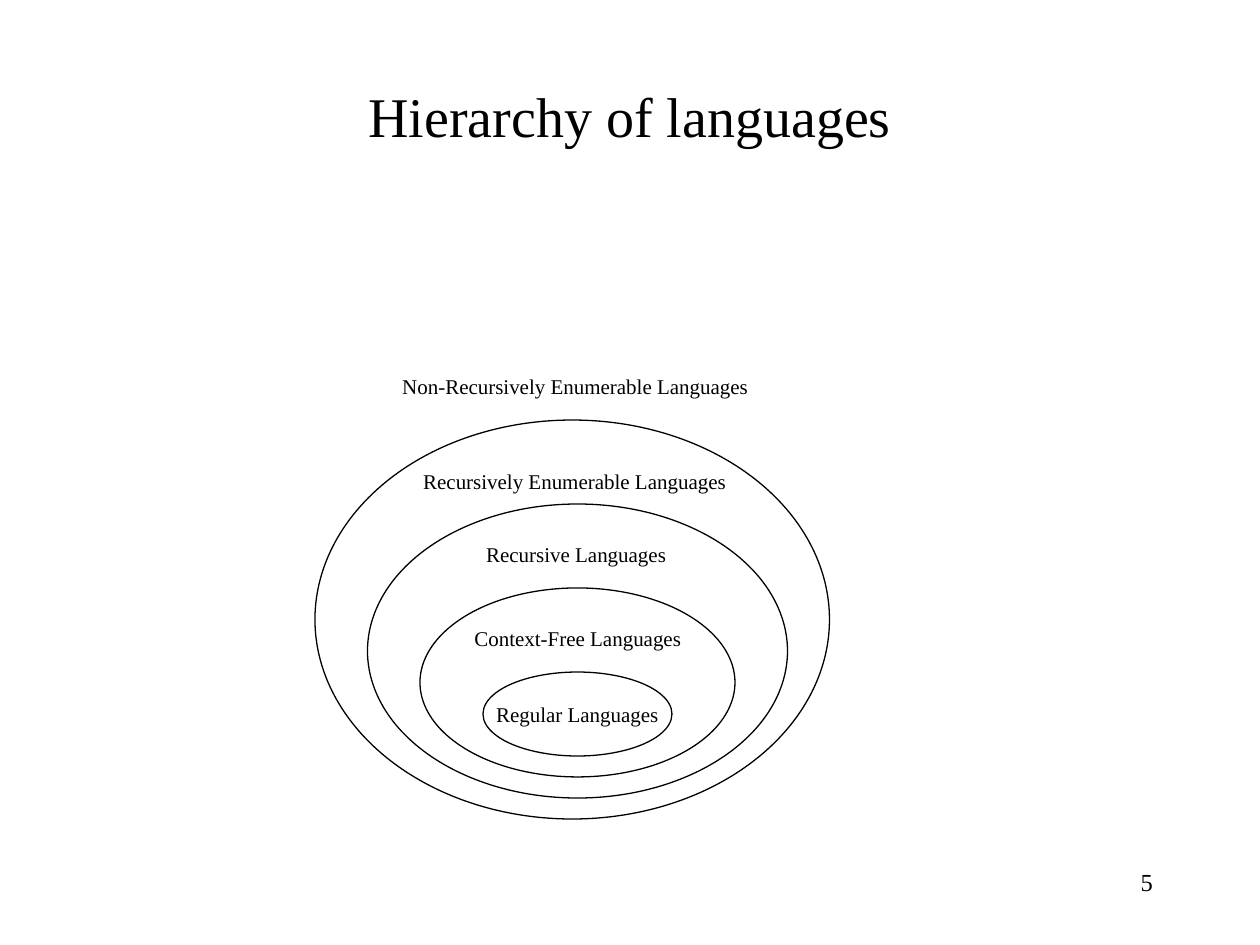
import pptx
import pptx.dml.color
import pptx.enum.shapes
import pptx.enum.text
import pptx.util

PX = 9525  # EMU per px, 96 px to the inch
COLORS = {"ink": "000000", "paper": "FFFFFF"}
ALIGN = pptx.enum.text.PP_ALIGN
ANCHOR = pptx.enum.text.MSO_ANCHOR


def emu(*lengths):
    return [pptx.util.Emu(length * PX) for length in lengths]


def color(name):
    return pptx.dml.color.RGBColor.from_string(COLORS[name])


class SlideBuilder:
    font = "Times New Roman"
    line_width = 0.75

    def __init__(self, slide):
        self.slide = slide
        background = slide.background.fill
        background.solid()
        background.fore_color.rgb = color("paper")

    def set_text(self, holder, text, size, align, anchor=ANCHOR.TOP, wrap=True):
        frame = holder.text_frame
        frame.auto_size = pptx.enum.text.MSO_AUTO_SIZE.NONE
        frame.word_wrap = wrap
        frame.vertical_anchor = anchor
        paragraph = frame.paragraphs[0]
        paragraph.alignment = align
        run = paragraph.add_run()
        run.text = text
        run.font.name = self.font
        run.font.size = pptx.util.Pt(size)
        run.font.color.rgb = color("ink")

    def title(self, text, box, size):
        heading = self.slide.shapes.title
        heading.left, heading.top, heading.width, heading.height = emu(*box)
        self.set_text(heading, text, size, ALIGN.CENTER, ANCHOR.MIDDLE)

    def label(self, text, box, size=12, align=ALIGN.LEFT, wrap=False):
        caption = self.slide.shapes.add_textbox(*emu(*box))
        self.set_text(caption, text, size, align, wrap=wrap)

    def ellipse(self, box, text=None):
        oval = self.slide.shapes.add_shape(
            pptx.enum.shapes.MSO_SHAPE.OVAL, *emu(*box))
        oval.shadow.inherit = False
        oval.fill.background()
        oval.line.color.rgb = color("ink")
        oval.line.width = pptx.util.Pt(self.line_width)
        if text:
            self.set_text(oval, text, 12, ALIGN.CENTER, ANCHOR.MIDDLE, wrap=False)


def main():
    deck = pptx.Presentation()
    deck.slide_width, deck.slide_height = emu(960, 720)
    title_only = deck.slide_layouts[5]
    builder = SlideBuilder(deck.slides.add_slide(title_only))

    # Slide number and title
    builder.label("5", (688, 656, 200, 48), 14, ALIGN.RIGHT, wrap=True)
    builder.title("Hierarchy of languages", (72, 40, 816, 96), 32)

    # Nested language classes, innermost first
    builder.ellipse((368, 512, 144, 64), "Regular Languages")
    outer_classes = [
        ("Context-Free Languages", (352, 472, 177, 29), (320, 448, 240, 144)),
        ("Recursive Languages", (361, 408, 156, 29), (280, 384, 320, 224)),
        ("Recursively Enumerable Languages", (313, 352, 250, 29),
         (240, 320, 392, 304)),
    ]
    for name, label_box, oval_box in outer_classes:
        builder.ellipse(oval_box)
        builder.label(name, label_box)

    # Everything outside the hierarchy
    builder.label("Non-Recursively Enumerable Languages", (297, 280, 282, 29))

    deck.save("out.pptx")


if __name__ == "__main__":
    main()
